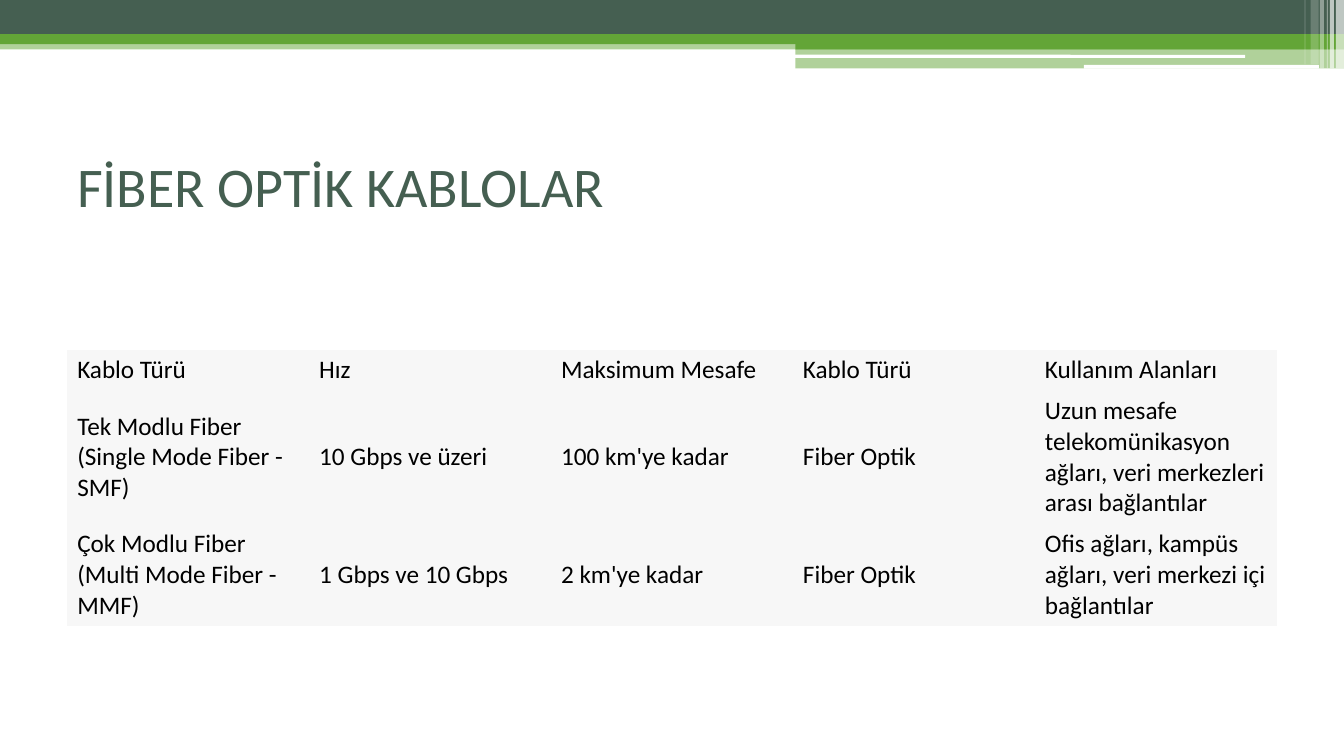
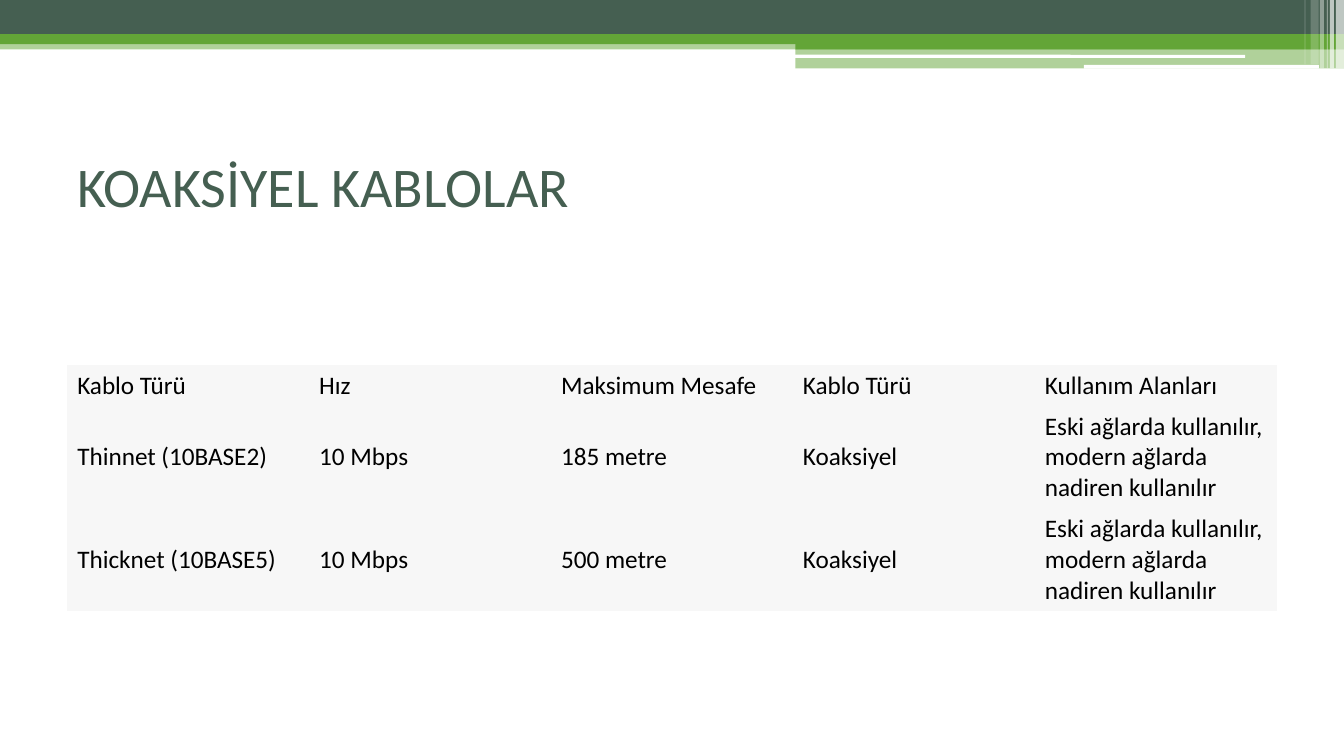
import pptx
import pptx.util
import pptx.dml.color
import pptx.enum.shapes
import pptx.enum.text
import pptx.oxml.ns
import pptx.oxml.xmlchemy

HUES = {"dark": "455F51", "green": "63A537", "white": "FFFFFF",
        "cell": "F7F7F7", "text": "000000"}
FONTS = {
    "title": {"name": "Calibri", "size": pptx.util.Pt(40), "bold": False},
    "cell": {"name": "Calibri", "size": pptx.util.Pt(18), "bold": False},
}
KINDS = pptx.enum.shapes.MSO_SHAPE
MIDDLE = pptx.enum.text.MSO_ANCHOR.MIDDLE
PLAIN = "{2D5ABB26-0587-4C30-8999-92F81FD0307C}"  # table style without grid
LINE, PAD = pptx.util.Pt(22), pptx.util.Pt(7.2)

# Regions and bands: left, top, width, height in percent of their parent box
TITLE = (5, 16.67, 90, 15.6)
TABLE = (5, 40, 90, 49.1)
BANDS = [  # box, colour, opacity, rounded
    ((0, 5.33, 100, 1.2), "green", 50, False),
    ((0, 0, 100, 4.53), "dark", 100, False),
    ((0, 4.53, 100, 1.33), "green", 100, False),
    ((59.19, 5.2, 40.81, 1.33), "green", 100, False),
    ((59.19, 6.5, 40.81, 2.57), "green", 50, False),
    ((59.12, 7.25, 33.53, 0.4), "white", 100, True),
    ((80.65, 8.58, 17.48, 0.5), "white", 100, True),
]
STRIPES = [  # left, width, height, opacity
    (99.4, 0.6, 9.07, 65), (98.95, 0.3, 9.07, 65), (98.72, 0.07, 9.07, 60),
    (98.2, 0.3, 9.07, 40), (97.52, 0.6, 8.53, 20), (97.07, 0.07, 8.53, 30),
]

HEAD = ["Kablo Türü", "Hız", "Maksimum Mesafe", "Kablo Türü", "Kullanım Alanları"]
COAX = "Eski ağlarda kullanılır, modern ağlarda nadiren kullanılır"
PAGES = [  # title, table rows, text lines in each row
    ("FİBER OPTİK KABLOLAR", [
        HEAD,
        ["Tek Modlu Fiber (Single Mode Fiber - SMF)", "10 Gbps ve üzeri",
         "100 km'ye kadar", "Fiber Optik",
         "Uzun mesafe telekomünikasyon ağları, veri merkezleri arası bağlantılar"],
        ["Çok Modlu Fiber (Multi Mode Fiber - MMF)", "1 Gbps ve 10 Gbps",
         "2 km'ye kadar", "Fiber Optik",
         "Ofis ağları, kampüs ağları, veri merkezi içi bağlantılar"],
    ], (1, 4, 3)),
    ("KOAKSİYEL KABLOLAR", [
        HEAD,
        ["Thinnet (10BASE2)", "10 Mbps", "185 metre", "Koaksiyel", COAX],
        ["Thicknet (10BASE5)", "10 Mbps", "500 metre", "Koaksiyel", COAX],
    ], (1, 3, 3)),
]


def rgb(hue):
    return pptx.dml.color.RGBColor.from_string(HUES[hue])


def part(box, share):
    """Turn percent shares of a box into slide lengths."""
    left, top, wide, high = box
    x, y, w, h = (s / 100 for s in share)
    return (int(left + x * wide), int(top + y * high), int(w * wide), int(h * high))


def write(frame, text, style, hue):
    frame.word_wrap = True
    para = frame.paragraphs[0]
    para.text = text
    for key, value in FONTS[style].items():
        setattr(para.font, key, value)
    para.font.color.rgb = rgb(hue)


def band(slide, box, hue, solid, rounded=False):
    kind = KINDS.ROUNDED_RECTANGLE if rounded else KINDS.RECTANGLE
    shape = slide.shapes.add_shape(kind, *box)
    shape.shadow.inherit = False
    shape.line.fill.background()
    shape.fill.solid()
    shape.fill.fore_color.rgb = rgb(hue)
    if solid < 100:
        tint = shape._element.spPr.find(".//" + pptx.oxml.ns.qn("a:srgbClr"))
        alpha = pptx.oxml.xmlchemy.OxmlElement("a:alpha")
        alpha.set("val", str(solid * 1000))
        tint.append(alpha)


def header(slide, box):
    for share, hue, solid, rounded in BANDS:
        band(slide, part(box, share), hue, solid, rounded)
    for left, wide, high, solid in STRIPES:
        band(slide, part(box, (left, 0, wide, high)), "white", solid)


def title(slide, box, text):
    frame = slide.shapes.add_textbox(*box).text_frame
    frame.vertical_anchor = MIDDLE
    write(frame, text, "title", "dark")


def table(slide, box, rows, lines):
    """Centre the table vertically in its box."""
    left, top, wide, high = box
    sizes = [int(PAD + LINE * count) for count in lines]
    tall = sum(sizes)
    grid = slide.shapes.add_table(len(rows), len(rows[0]), left,
                                  top + (high - tall) // 2, wide, tall).table
    grid.first_row = grid.horz_banding = False
    grid._tbl.tblPr.find(pptx.oxml.ns.qn("a:tableStyleId")).text = PLAIN
    for row, size, texts in zip(grid.rows, sizes, rows):
        row.height = size
        for cell, text in zip(row.cells, texts):
            cell.fill.solid()
            cell.fill.fore_color.rgb = rgb("cell")
            cell.vertical_anchor = MIDDLE
            write(cell.text_frame, text, "cell", "text")


def main():
    deck = pptx.Presentation()
    deck.slide_width = pptx.util.Inches(13.33)
    deck.slide_height = pptx.util.Inches(7.5)
    full = (0, 0, deck.slide_width, deck.slide_height)
    for name, rows, lines in PAGES:
        slide = deck.slides.add_slide(deck.slide_layouts[6])
        header(slide, full)
        title(slide, part(full, TITLE), name)
        table(slide, part(full, TABLE), rows, lines)
    deck.save("out.pptx")


if __name__ == "__main__":
    main()
